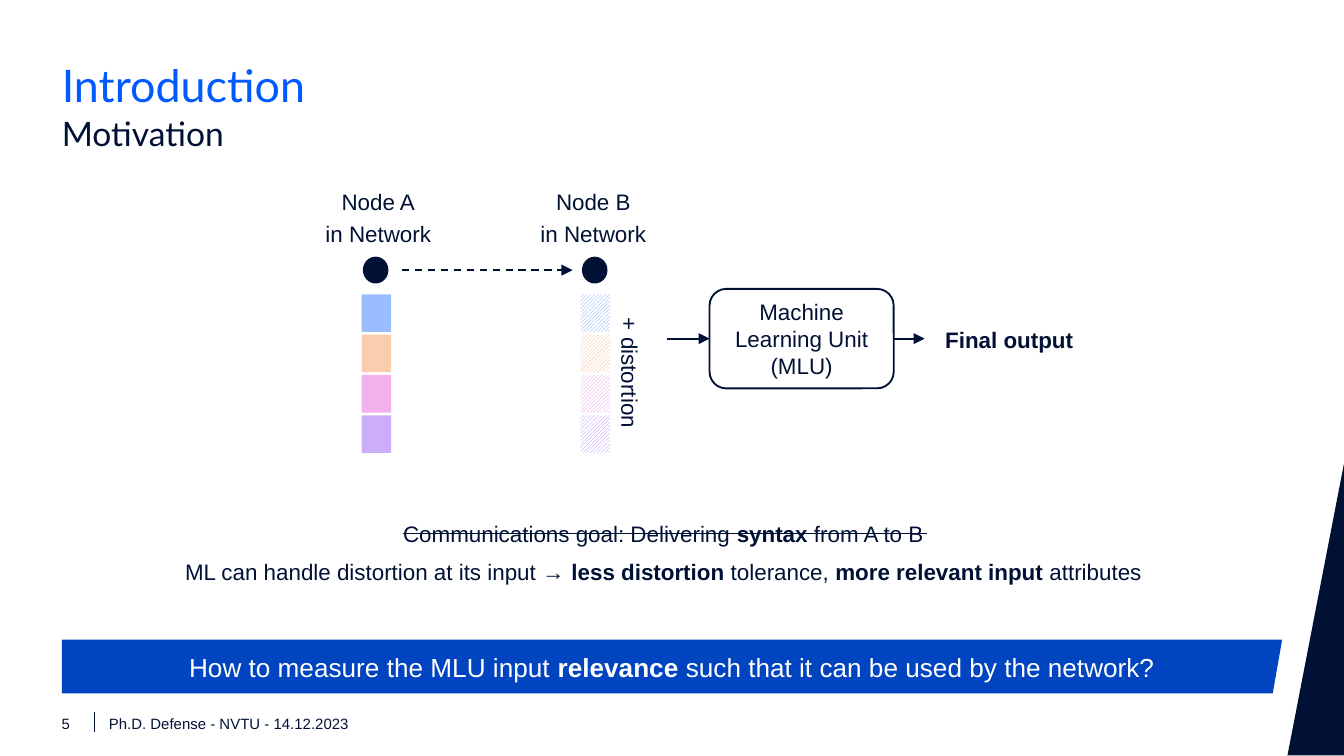
from lxml import etree
from pptx import Presentation
from pptx.dml.color import RGBColor
from pptx.enum import dml, shapes, text
from pptx.oxml.ns import qn
from pptx.util import Inches, Pt

NAVY, BLUE, BANNER, WHITE = "001135", "005AFF", "0044BF", "FFFFFF"
LEFT, CENTER = text.PP_ALIGN.LEFT, text.PP_ALIGN.CENTER
TOP, MIDDLE, BOTTOM = text.MSO_ANCHOR.TOP, text.MSO_ANCHOR.MIDDLE, text.MSO_ANCHOR.BOTTOM
rgb = RGBColor.from_string


def write(shape, lines, size=12, color=NAVY, font="Arial", align=CENTER,
          anchor=TOP, after=0, inset=0, wrap=True):
    frame = shape.text_frame
    frame.text = "\n".join(lines)
    frame.word_wrap = wrap
    frame.auto_size = text.MSO_AUTO_SIZE.NONE
    frame.vertical_anchor = anchor
    frame.margin_left = frame.margin_right = Inches(inset)
    frame.margin_top = frame.margin_bottom = Inches(inset)
    for paragraph, line in zip(frame.paragraphs, lines):
        paragraph.alignment = align
        paragraph.space_before, paragraph.space_after = Pt(0), Pt(after)
        pieces = line.split("*")
        paragraph.text = pieces[0]
        for piece in pieces[1:]:
            if piece:
                paragraph.add_run().text = piece
        bold_flags = [i % 2 == 1 for i, piece in enumerate(pieces) if piece]
        for run, bold in zip(paragraph.runs, bold_flags):
            run.font.name, run.font.size, run.font.bold = font, Pt(size), bold
            run.font.color.rgb = rgb(color)


def connect(x1, y1, x2, y2, width=1, arrow=False, dashed=False):
    line = slide.shapes.add_connector(shapes.MSO_CONNECTOR.STRAIGHT, Inches(x1),
                                      Inches(y1), Inches(x2), Inches(y2))
    line.line.color.rgb, line.line.width = rgb(NAVY), Pt(width)
    if dashed:
        line.line.dash_style = dml.MSO_LINE.DASH
    if arrow:
        stroke = line._element.spPr.find(qn("a:ln"))
        etree.SubElement(stroke, qn("a:tailEnd"), type="triangle")
    etree.SubElement(line._element.spPr, qn("a:effectLst"))


deck = Presentation()
deck.slide_width, deck.slide_height = Inches(10), Inches(10 * 9 / 16)
slide = deck.slides.add_slide(deck.slide_layouts[1])

title, subtitle = slide.placeholders
for heading, top, words, size, color in [
    (title, 0.43, "Introduction", 24, BLUE),
    (subtitle, 0.84, "Motivation", 18, NAVY),
]:
    heading.left, heading.top = Inches(0.46), Inches(top)
    heading.width, heading.height = Inches(9.09), Inches(0.37)
    write(heading, [words], size, color, "Lato", LEFT)
subtitle_format = subtitle.text_frame.paragraphs[0]._p.get_or_add_pPr()
subtitle_format.set("marL", "0")
subtitle_format.set("indent", "0")
etree.SubElement(subtitle_format, qn("a:buNone"))

corner = slide.shapes.add_shape(shapes.MSO_SHAPE.RIGHT_TRIANGLE, Inches(9.58),
                                Inches(3.45), Inches(0.42), Inches(2.17))
corner.shadow.inherit = False
corner.fill.solid()
corner.fill.fore_color.rgb = rgb(NAVY)
corner.line.fill.background()
corner._element.spPr.xfrm.set("flipH", "1")

for left, width, words in [(0.46, 0.13, "5"),
                           (0.81, 3.15, "Ph.D. Defense - NVTU - 14.12.2023")]:
    footer = slide.shapes.add_textbox(Inches(left), Inches(5.32), Inches(width), Inches(0.13))
    write(footer, [words], 8, align=LEFT, anchor=BOTTOM, wrap=False)
connect(0.7, 5.3, 0.7, 5.45, width=0.5)

plain = ["99BDFF", "FBCCAD", "F3B1EB", "CBADFA"]
hatched = ["669CFF", "F8B283", "EC8BE1", "B185F7"]
for name, label_left, node_left, packet_left, colors in [
    ("Node A", 2.36, 2.7, 2.69, plain),
    ("Node B", 3.96, 4.33, 4.32, hatched),
]:
    label = slide.shapes.add_textbox(Inches(label_left), Inches(1.4),
                                     Inches(0.91), Inches(0.36))
    write(label, [name, "in Network"], after=3)
    node = slide.shapes.add_shape(shapes.MSO_SHAPE.OVAL, Inches(node_left),
                                  Inches(1.91), Inches(0.19), Inches(0.2))
    node.shadow.inherit = False
    node.fill.solid()
    node.fill.fore_color.rgb = rgb(NAVY)
    node.line.fill.background()
    for row, color in enumerate(colors):
        packet = slide.shapes.add_shape(shapes.MSO_SHAPE.RECTANGLE, Inches(packet_left),
                                        Inches(2.19 + 0.3 * row), Inches(0.22), Inches(0.28))
        packet.shadow.inherit = False
        packet.line.fill.background()
        if colors is hatched:
            packet.fill.patterned()
            packet.fill.pattern = dml.MSO_PATTERN.DARK_UPWARD_DIAGONAL
            packet.fill.back_color.rgb = rgb(WHITE)
        else:
            packet.fill.solid()
        packet.fill.fore_color.rgb = rgb(color)

distortion = slide.shapes.add_textbox(Inches(4.59), Inches(2.19), Inches(0.25), Inches(1.17))
write(distortion, ["+ distortion"], anchor=BOTTOM, after=3)
distortion.text_frame._txBody.bodyPr.set("vert", "vert")

learning_unit = slide.shapes.add_shape(shapes.MSO_SHAPE.ROUNDED_RECTANGLE, Inches(5.28),
                                       Inches(2.15), Inches(1.37), Inches(0.74))
learning_unit.shadow.inherit = False
learning_unit.fill.solid()
learning_unit.fill.fore_color.rgb = rgb(WHITE)
learning_unit.line.color.rgb, learning_unit.line.width = rgb(NAVY), Pt(1)
write(learning_unit, ["Machine Learning Unit", "(MLU)"], anchor=MIDDLE, inset=0.08)

output = slide.shapes.add_textbox(Inches(6.88), Inches(2.34), Inches(1.26), Inches(0.37))
write(output, ["*Final output*"], anchor=MIDDLE, after=3)

connect(2.99, 2.01, 4.26, 2.01, arrow=True, dashed=True)
connect(4.96, 2.52, 5.28, 2.52, arrow=True)
connect(6.65, 2.52, 6.88, 2.52, arrow=True)

goals = slide.shapes.add_textbox(Inches(0.39), Inches(3.82), Inches(9.09), Inches(0.59))
write(goals, [
    "Communications goal: Delivering *syntax* from A to B",
    "ML can handle distortion at its input → *less distortion* tolerance, "
    "*more relevant input *attributes",
], after=6, inset=0.05)
connect(3, 3.97, 6.9, 3.97, width=0.5)

outline = slide.shapes.build_freeform(Inches(0.46), Inches(4.76))
outline.add_line_segments([(Inches(x), Inches(y)) for x, y in
                           [(9.54, 4.76), (9.47, 5.16), (0.46, 5.16)]], close=True)
question = outline.convert_to_shape()
question.shadow.inherit = False
question.fill.solid()
question.fill.fore_color.rgb = rgb(BANNER)
question.line.fill.background()
write(question, ["How to measure the MLU input *relevance* such that it can be used by the network?"],
      14, WHITE, anchor=MIDDLE, after=3)

deck.save("out.pptx")
